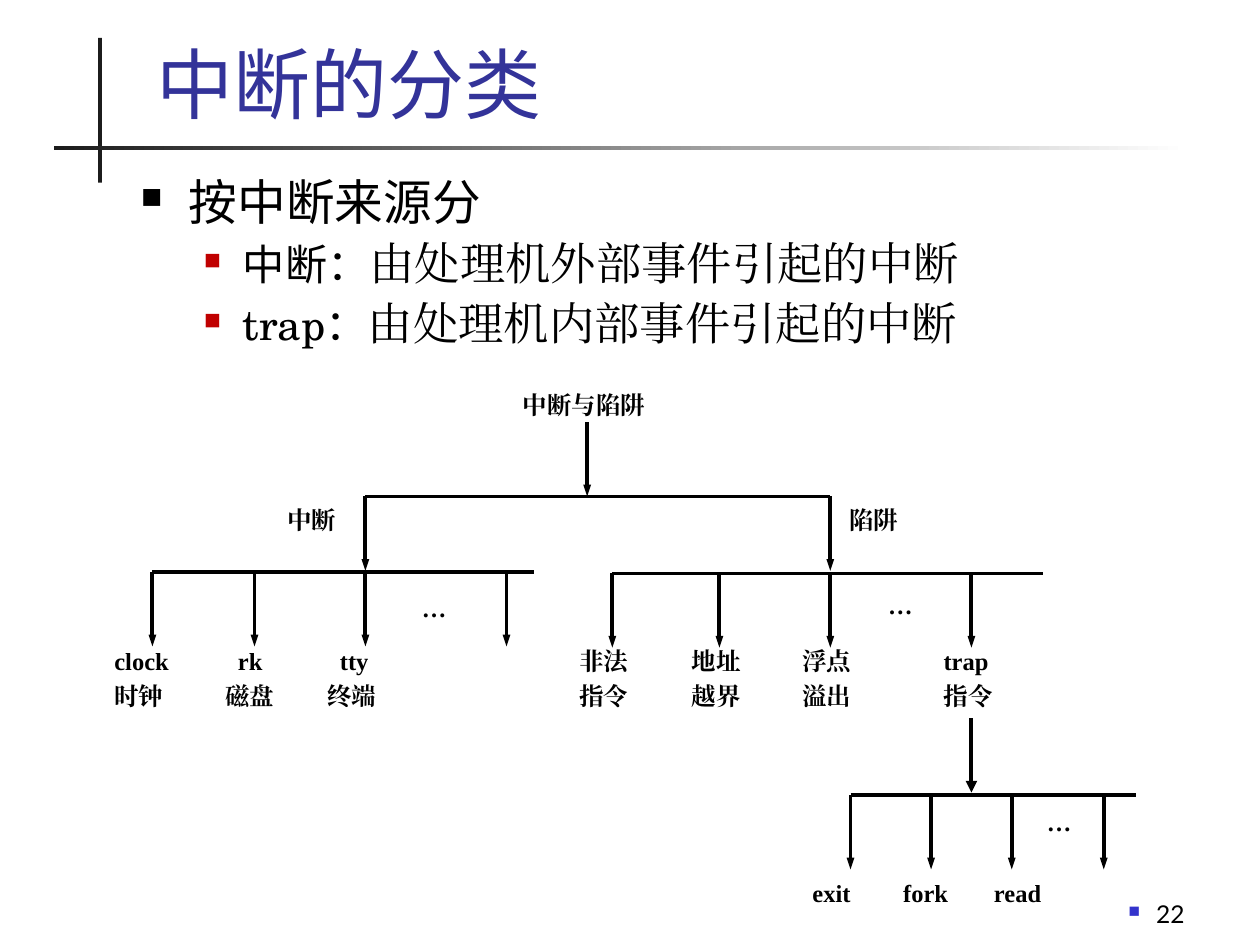
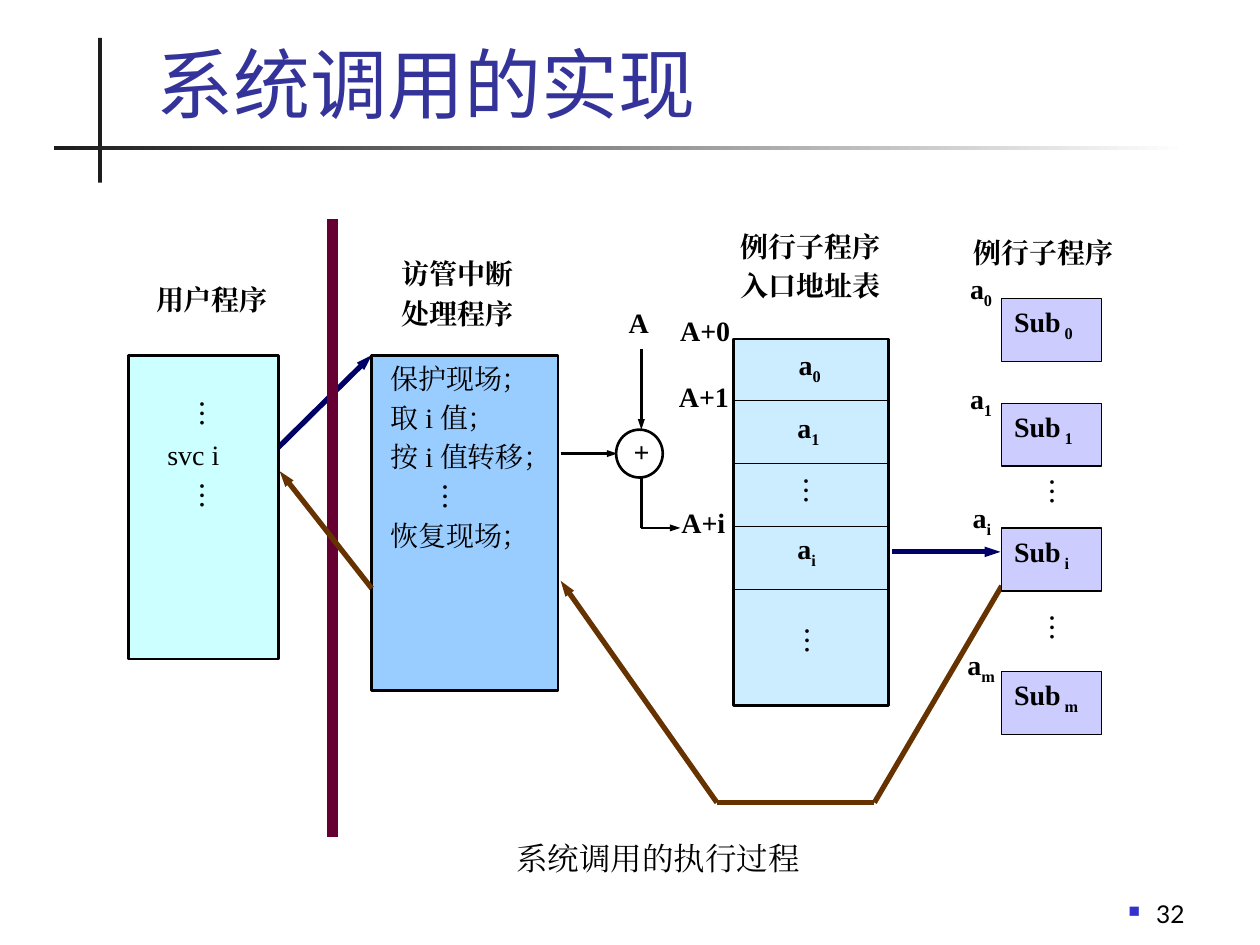
from lxml import etree
from pptx import Presentation
from pptx.dml import color
from pptx.enum import shapes, text
from pptx.oxml import ns
from pptx.util import Inches, Pt

COLORS = {
    "ink": "000000", "band": "1C1C1C", "paper": "FFFFFF", "title": "333399",
    "red": "C00000", "blue": "3333CC", "call": "000066", "return": "663300",
    "barrier": "660033", "user": "CCFFFF", "handler": "99CCFF",
    "table": "CCECFF", "routine": "CCCCFF",
}
SERIF, SCHOLA, CJK, LATO = "Times New Roman", "TeX Gyre Schola", "Noto Sans CJK SC", "Lato"
DOTS = "︙"

OUTLINE = [
    (0, [("按中断来源分", 27.8, SCHOLA)]),
    (1, [("中断：", 24.1, SCHOLA), ("由处理机外部事件引起的中断", 25.9, SERIF)]),
    (1, [("trap：", 24.1, SCHOLA), ("由处理机内部事件引起的中断", 25.9, SERIF)]),
]
OUTLINE_LEVELS = [(0.38, 0.38, "ink", 60), (0.81, 0.31, "red", 55)]

TREE_BARS = [
    (2.9, 6.59, 3.94, [2.9, 6.59]),
    (1.21, 4.24, 4.54, [1.21, 2.02, 2.9, 4.02]),
    (4.86, 8.28, 4.55, [4.86, 5.71, 6.59, 7.71]),
    (6.75, 9.02, 6.31, [6.75, 7.39, 8.03, 8.76]),
]
TREE_STEMS = [(4.66, 3.35, "sm"), (7.71, 5.7, "med")]
DROP = 0.59
TREE_LABELS = [
    (4.05, 3.05, 1.77, ["中断与陷阱"]),
    (2.18, 3.96, 0.8, ["中断"]),
    (6.64, 3.96, 0.88, ["陷阱"]),
    (0.81, 5.08, 0.8, ["clock", "时钟"]),
    (1.69, 5.08, 0.8, [("rk", 0.1), "磁盘"]),
    (2.5, 5.08, 0.8, [("tty", 0.1), "终端"]),
    (4.5, 5.08, 0.8, ["非法", "指令"]),
    (5.39, 5.08, 0.8, ["地址", "越界"]),
    (6.27, 5.08, 0.8, ["浮点", "溢出"]),
    (7.39, 5.08, 0.8, ["trap", "指令"]),
    (6.35, 6.92, 0.64, ["exit"]),
    (7.07, 6.92, 0.64, ["fork"]),
    (7.79, 6.92, 0.72, ["read"]),
    (3.25, 4.66, 0.56, ["…"]),
    (6.95, 4.63, 0.56, ["…"]),
    (8.21, 6.36, 0.56, ["…"]),
]

CALL_LABELS = [
    (1.14, 2.19, 1.17, ["用户程序"]),
    (3.09, 1.99, 1.2, ["访管中断", "处理程序"]),
    (5.78, 1.77, 1.52, ["例行子程序", "入口地址表"]),
    (7.63, 1.82, 1.59, ["例行子程序"]),
    (4.89, 2.38, 0.4, ["A"]),
    (4.93, 3.4, 0.48, ["+"]),
    (5.3, 2.44, 0.72, ["A+0"]),
    (5.29, 2.96, 0.72, ["A+1"]),
    (5.31, 3.96, 0.72, ["A+i"]),
    (6.24, 2.71, 0.47, ["a_0"]),
    (6.23, 3.21, 0.47, ["a_1"]),
    (6.23, 4.17, 0.47, ["a_i"]),
    (6.19, 3.71, 0.42, [DOTS]),
    (6.2, 4.9, 0.42, [DOTS]),
    (8.14, 3.72, 0.42, [DOTS]),
    (8.14, 4.8, 0.42, [DOTS]),
]
USER_PROGRAM = [(DOTS, 0.38), ("svc i", 0.21), (DOTS, 0.38)]
HANDLER_STEPS = [("保护现场；", 0.05), ("取 i 值；", 0.05), ("按 i 值转移；", 0.05),
                 (DOTS, 0.38), ("恢复现场；", 0.05)]
ROUTINES = [("0", 2.37, 7.6, 2.11), ("1", 3.2, 7.6, 2.98),
            ("i", 4.19, 7.62, 3.92), ("m", 5.33, 7.58, 5.09)]
ADDRESS_LINES = [
    ((5.09, 2.77), (5.09, 3.41), "sm"),
    ((4.45, 3.6), (4.9, 3.6), "sm"),
    ((5.09, 3.79), (5.09, 4.19), None),
    ((5.09, 4.19), (5.4, 4.19), "sm"),
]
RETURN_LINES = [
    ((7.95, 4.65), (6.94, 6.37), None),
    ((6.94, 6.37), (5.69, 6.37), None),
    ((5.69, 6.37), (4.45, 4.61), "sm"),
    ((2.95, 4.67), (2.22, 3.74), "sm"),
]


def rgb(name):
    return color.RGBColor.from_string(COLORS[name])


def add_child(parent, tag, **attributes):
    return etree.SubElement(parent, ns.qn(tag), attributes)


def add_run(paragraph, words, size, font=SERIF, bold=False, ink="ink", subscript=False):
    run = paragraph.add_run()
    run.text = words
    run.font.size, run.font.name, run.font.bold = Pt(size), font, bold
    run.font.color.rgb = rgb(ink)
    properties = run.font._element
    add_child(properties, "a:ea", typeface=font)
    if subscript:
        properties.set("baseline", "-25000")


def set_indent(paragraph, left, hanging=0):
    properties = paragraph._p.get_or_add_pPr()
    properties.set("marL", str(Inches(left)))
    properties.set("indent", str(-Inches(hanging)))
    return properties


def add_bullet(paragraph, left, hanging, ink, percent):
    properties = set_indent(paragraph, left, hanging)
    add_child(add_child(properties, "a:buClr"), "a:srgbClr", val=COLORS[ink])
    add_child(properties, "a:buSzPct", val=str(percent * 1000))
    add_child(properties, "a:buChar", char="■")


def next_paragraph(frame, index):
    return frame.add_paragraph() if index else frame.paragraphs[0]


def write_lines(frame, lines, size, bold, gap=0.2):
    frame.word_wrap = True
    frame.vertical_anchor = text.MSO_ANCHOR.TOP
    for index, line in enumerate(lines):
        words, left = line if isinstance(line, tuple) else (line, 0)
        paragraph = next_paragraph(frame, index)
        set_indent(paragraph, left)
        paragraph.alignment = text.PP_ALIGN.LEFT
        if index:
            paragraph.space_before = Pt(size * gap)
        base, _, subscript = words.partition("_")
        is_dots = base == DOTS
        add_run(paragraph, base, size, CJK if is_dots else SERIF, bold and not is_dots)
        if subscript:
            add_run(paragraph, subscript, size, bold=bold, subscript=True)


def add_label(slide, left, top, width, lines, size=16, bold=True):
    height = 0.1 + 0.27 * len(lines)
    box = slide.shapes.add_textbox(Inches(left), Inches(top), Inches(width), Inches(height))
    write_lines(box.text_frame, lines, size, bold)


def add_block(slide, left, top, width, height, fill, border=None,
              kind=shapes.MSO_SHAPE.RECTANGLE):
    shape = slide.shapes.add_shape(kind, Inches(left), Inches(top), Inches(width), Inches(height))
    shape.shadow.inherit = False
    shape.fill.solid()
    shape.fill.fore_color.rgb = rgb(fill)
    if border:
        shape.line.color.rgb = rgb("ink")
        shape.line.width = Pt(border)
    else:
        shape.line.fill.background()
    return shape


def add_line(slide, start, end, width, ink="ink", head=None):
    line = slide.shapes.add_connector(
        shapes.MSO_CONNECTOR.STRAIGHT, *[Inches(value) for value in (*start, *end)])
    line.line.color.rgb = rgb(ink)
    line.line.width = Pt(width)
    if head:
        add_child(line.line._get_or_add_ln(), "a:tailEnd", type="triangle", w=head, len="med")
    add_child(line._element.spPr, "a:effectLst")


def add_bands(slide, layout):
    upright = add_block(slide, 0.78, 0.3, 0.03, 1.15, "band")
    rule = add_block(slide, 0.43, 1.16, 9, 0.03, "band")
    rule.fill.gradient()
    rule.fill.gradient_angle = 0
    for stop, position, name in zip(rule.fill.gradient_stops, (0, 1), ("band", "paper")):
        stop.position = position
        stop.color.rgb = rgb(name)
    for shape in (rule, upright):
        layout.shapes.element.insert(2, shape.element)


def add_titled_slide(presentation, layout, heading, number):
    slide = presentation.slides.add_slide(layout)
    title = slide.shapes.title
    title.left, title.top, title.width, title.height = map(Inches, (1.14, 0.25, 8.59, 0.82))
    frame = title.text_frame
    frame.auto_size = text.MSO_AUTO_SIZE.NONE
    frame.vertical_anchor = text.MSO_ANCHOR.BOTTOM
    frame.paragraphs[0].alignment = text.PP_ALIGN.LEFT
    add_run(frame.paragraphs[0], heading, 44, SCHOLA, ink="title")

    footer = slide.shapes.add_textbox(Inches(7.42), Inches(6.92), Inches(2.08), Inches(0.5))
    footer.text_frame.word_wrap = True
    footer.text_frame.vertical_anchor = text.MSO_ANCHOR.BOTTOM
    paragraph = footer.text_frame.paragraphs[0]
    add_bullet(paragraph, 0.22, 0.22, "blue", 65)
    paragraph.alignment = text.PP_ALIGN.RIGHT
    add_run(paragraph, number, 14, LATO)
    return slide


def fill_interrupt_slide(slide):
    body = slide.shapes.add_textbox(Inches(1.02), Inches(1.35), Inches(8.5), Inches(1.55))
    body.text_frame.word_wrap = True
    for index, (level, runs) in enumerate(OUTLINE):
        paragraph = next_paragraph(body.text_frame, index)
        add_bullet(paragraph, *OUTLINE_LEVELS[level])
        paragraph.level = level
        paragraph.line_spacing = 0.94
        if index:
            paragraph.space_before = Pt(5)
        for words, size, font in runs:
            add_run(paragraph, words, size, font)

    for left, right, y, branches in TREE_BARS:
        add_line(slide, (left, y), (right, y), 2)
        for x in branches:
            add_line(slide, (x, y), (x, y + DROP), 2.25, head="sm")
    for x, y, head in TREE_STEMS:
        add_line(slide, (x, y), (x, y + DROP), 2.25, head=head)
    for label in TREE_LABELS:
        add_label(slide, *label, size=14)


def fill_call_slide(slide):
    add_line(slide, (2.19, 3.57), (2.95, 2.82), 3, "call", "sm")
    add_block(slide, 5.82, 2.69, 1.23, 2.91, "table", 1.5)
    for row in range(4):
        y = 3.18 + 0.5 * row
        add_line(slide, (5.82, y), (7.04, y), 0.75)

    add_block(slide, 2.95, 2.82, 1.48, 2.66, "handler", 1.5)
    add_label(slide, 2.95, 2.82, 1.85, HANDLER_STEPS, bold=False)
    user = add_block(slide, 1.02, 2.82, 1.19, 2.41, "user", 1.5)
    user.text_frame.margin_top = Inches(0.33)
    write_lines(user.text_frame, USER_PROGRAM, 16, False, 0.25)

    add_line(slide, (2.64, 1.74), (2.64, 6.64), 6, "barrier")
    add_block(slide, 4.89, 3.41, 0.37, 0.38, "paper", 1.5, shapes.MSO_SHAPE.OVAL)
    for start, end, head in ADDRESS_LINES:
        add_line(slide, start, end, 1.5, head=head)
    add_line(slide, (7.08, 4.38), (7.94, 4.38), 3, "call", "sm")
    for start, end, head in RETURN_LINES:
        add_line(slide, start, end, 3, "return", head)

    for name, top, label_left, label_top in ROUTINES:
        routine = add_block(slide, 7.95, top, 0.79, 0.5, "routine", 0.75)
        write_lines(routine.text_frame, [f"Sub_ {name}"], 16, True)
        add_label(slide, label_left, label_top, 0.52, [f"a_{name}"])
    for label in CALL_LABELS:
        add_label(slide, *label)
    add_label(slide, 4, 6.61, 2.77, ["系统调用的执行过程"], size=18, bold=False)


def main():
    presentation = Presentation()
    presentation.slide_width, presentation.slide_height = Inches(10), Inches(7.5)
    layout = presentation.slide_layouts[5]
    interrupts = add_titled_slide(presentation, layout, "中断的分类", "22")
    add_bands(interrupts, layout)
    fill_interrupt_slide(interrupts)
    fill_call_slide(add_titled_slide(presentation, layout, "系统调用的实现", "32"))
    presentation.save("out.pptx")


if __name__ == "__main__":
    main()
